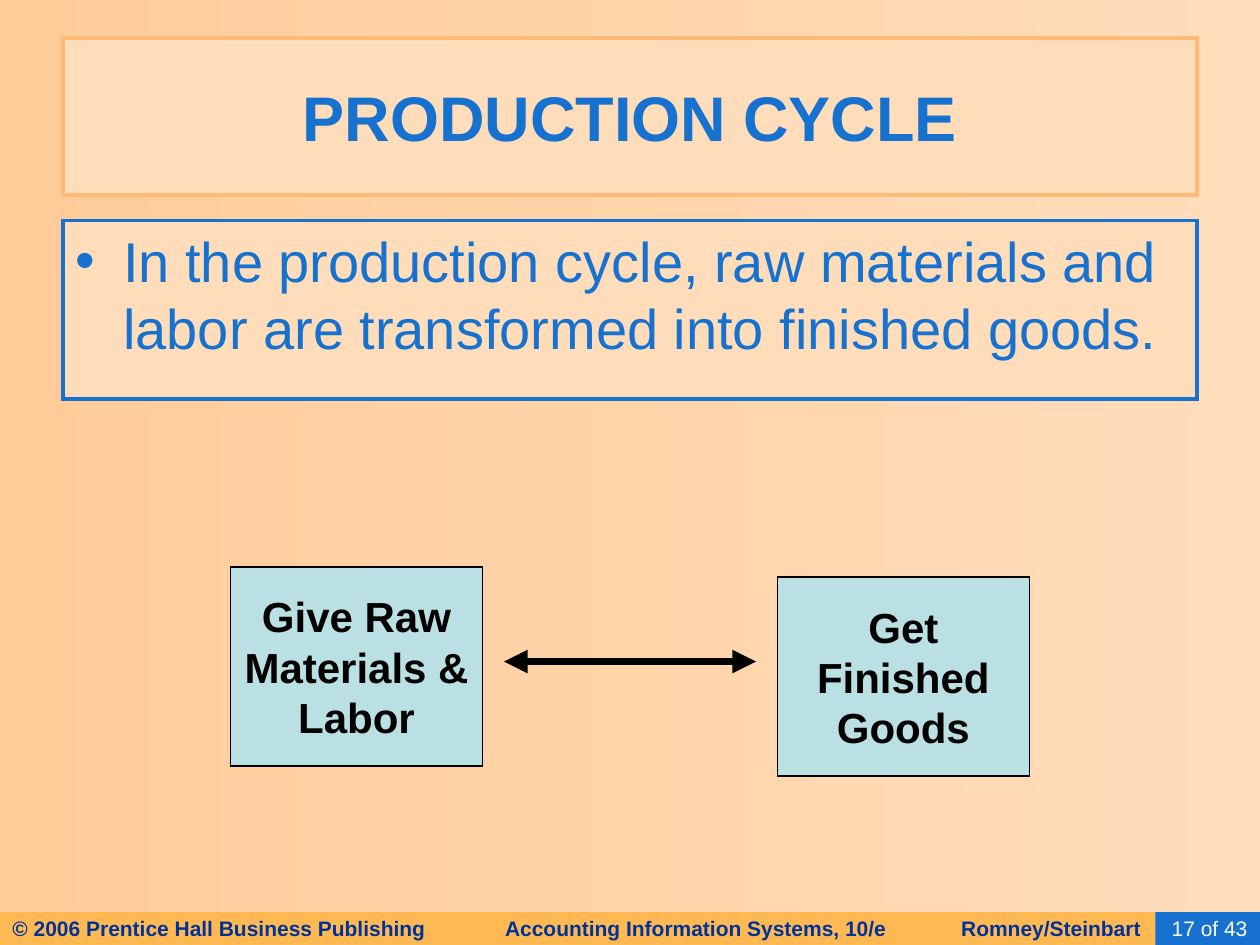
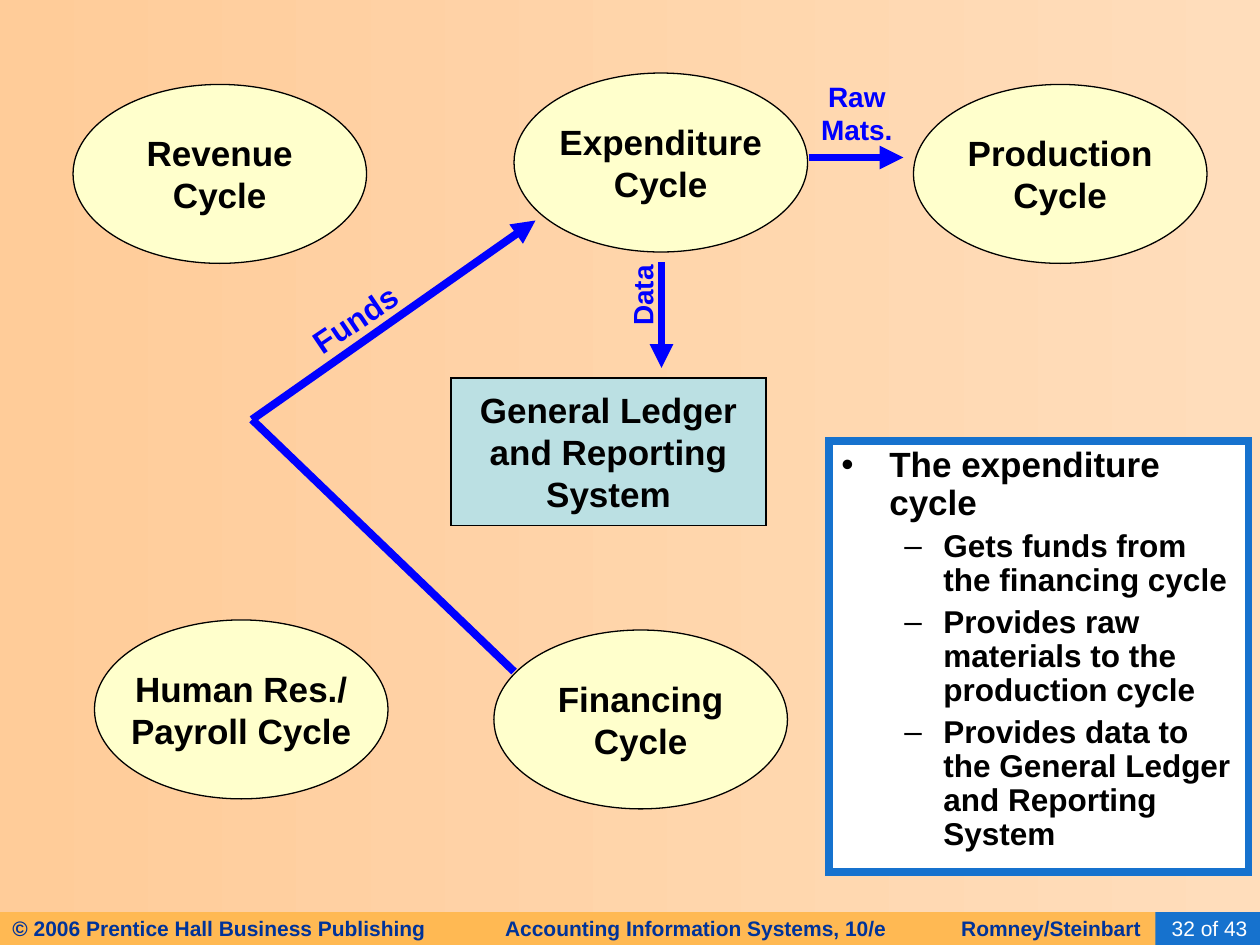
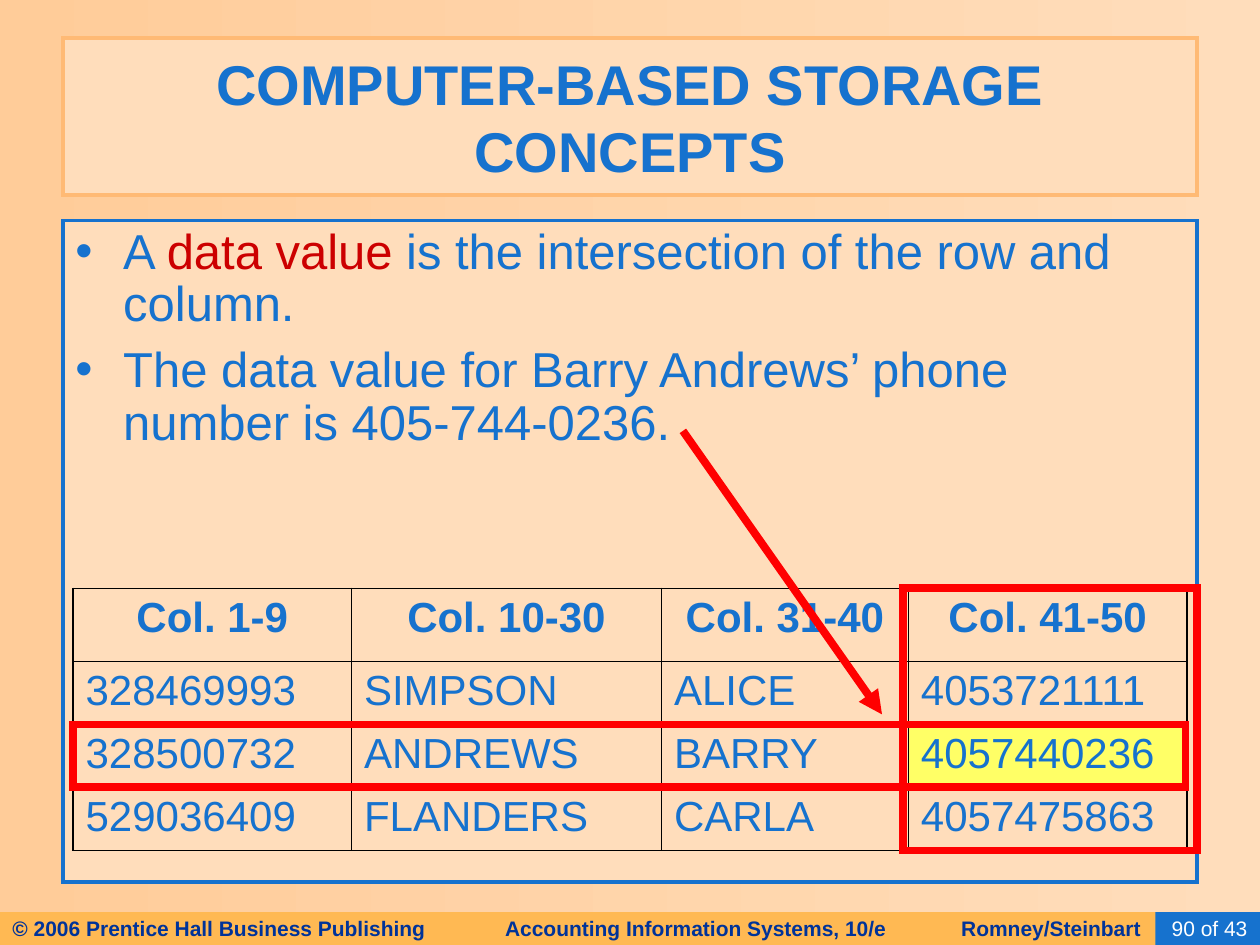
from lxml import etree
from pptx import Presentation
from pptx.dml.color import RGBColor
from pptx.enum.shapes import MSO_CONNECTOR, MSO_SHAPE
from pptx.enum.text import MSO_ANCHOR, MSO_AUTO_SIZE, PP_ALIGN
from pptx.oxml.ns import qn
from pptx.util import Inches, Pt

RECTANGLE, OVAL = MSO_SHAPE.RECTANGLE, MSO_SHAPE.OVAL
STRAIGHT = MSO_CONNECTOR.STRAIGHT
LEFT, CENTER, RIGHT = PP_ALIGN.LEFT, PP_ALIGN.CENTER, PP_ALIGN.RIGHT
TOP, MIDDLE = MSO_ANCHOR.TOP, MSO_ANCHOR.MIDDLE
FIXED_SIZE, GROW = MSO_AUTO_SIZE.NONE, MSO_AUTO_SIZE.SHAPE_TO_FIT_TEXT
TITLE_ONLY, BLANK = 5, 6

FONT = "Arial"
BLACK, WHITE = "000000", "FFFFFF"
BLUE, NAVY, FLOW_BLUE = "1672CE", "003399", "0000FF"
PEACH, DEEP_PEACH = "FFDDBB", "FFCC99"
TITLE_EDGE, FOOTER_ORANGE = "FFBA75", "FFB953"
PALE_TEAL, PALE_YELLOW, YELLOW = "BBE0E3", "FFFFCC", "FFFF66"
RED, DARK_RED = "FF0000", "CC0000"

FOOTER_PARTS = ("© 2006 Prentice Hall Business Publishing",
                "Accounting Information Systems, 10/e", "Romney/Steinbart")
FOOTER_TABS = (3.91, 7.53)
PAGE_TOTAL = 43
TITLE_BOX = (0.5, 0.3, 9, 1.25)


def rgb(color):
    return RGBColor.from_string(color)


def inches(box):
    return [Inches(value) for value in box]


def add_xml(parent, tag, **attributes):
    return etree.SubElement(parent, qn(tag), attributes)


def paint(shape, fill=None, line=None, width=0.75):
    if fill:
        shape.fill.solid()
        shape.fill.fore_color.rgb = rgb(fill)
    else:
        shape.fill.background()
    if line:
        shape.line.color.rgb = rgb(line)
        shape.line.width = Pt(width)
        add_xml(shape.line._get_or_add_ln(), "a:miter", lim="800000")
    else:
        shape.line.fill.background()


def add_run(paragraph, text, size, color, bold=False):
    run = paragraph.add_run()
    run.text = text
    run.font.name = FONT
    run.font.size = Pt(size)
    run.font.bold = bold
    run.font.color.rgb = rgb(color)


def next_paragraph(frame, index):
    return frame.add_paragraph() if index else frame.paragraphs[0]


def write_lines(frame, lines, size, color, bold=True, align=CENTER,
                anchor=MIDDLE, wrap=False):
    frame.word_wrap = wrap
    frame.vertical_anchor = anchor
    for index, line in enumerate(lines):
        paragraph = next_paragraph(frame, index)
        paragraph.alignment = align
        add_run(paragraph, line, size, color, bold)


def add_box(slide, kind, box, fill=None, line=None, width=0.75):
    shape = slide.shapes.add_shape(kind, *inches(box))
    shape.shadow.inherit = False
    paint(shape, fill, line, width)
    return shape


def add_node(slide, kind, box, lines, size=20):
    fill = PALE_YELLOW if kind == OVAL else PALE_TEAL
    node = add_box(slide, kind, box, fill, BLACK)
    write_lines(node.text_frame, lines, size, BLACK)


def add_line(slide, start, end, color, head=False, tail=True):
    connector = slide.shapes.add_connector(STRAIGHT, *inches(start + end))
    connector.line.color.rgb = rgb(color)
    connector.line.width = Pt(4.5)
    outline = connector.line._get_or_add_ln()
    for tag, wanted in (("a:headEnd", head), ("a:tailEnd", tail)):
        if wanted:
            add_xml(outline, tag, type="triangle")
    add_xml(connector._element.spPr, "a:effectLst")


def add_flow_label(slide, box, lines, size=16, rotation=0):
    label = slide.shapes.add_textbox(*inches(box))
    label.rotation = rotation
    label.text_frame.auto_size = GROW
    write_lines(label.text_frame, lines, size, FLOW_BLUE, anchor=TOP)


def add_bullets(frame, items, size, color, mark="•", margin=0.38, hang=0.38,
                bold=False, spacing=None, before=0, start=0):
    """Write items, each a list of (text, colour) runs, from paragraph start on."""
    for index, runs in enumerate(items, start):
        paragraph = next_paragraph(frame, index)
        paragraph.alignment = LEFT
        properties = paragraph._p.get_or_add_pPr()
        properties.set("marL", str(Inches(margin)))
        properties.set("indent", str(-Inches(hang)))
        bullet_color = add_xml(properties, "a:buClr")
        add_xml(bullet_color, "a:srgbClr", val=color)
        add_xml(properties, "a:buFont", typeface=FONT)
        add_xml(properties, "a:buChar", char=mark)
        if spacing:
            paragraph.line_spacing = spacing
        if index:
            paragraph.space_before = Pt(before)
        for text, run_color in runs:
            add_run(paragraph, text, size, run_color, bold)


def add_body(slide, box, fill=PEACH, width=2.25):
    frame = add_box(slide, RECTANGLE, box, fill, BLUE, width).text_frame
    frame.word_wrap = True
    frame.vertical_anchor = TOP
    return frame


def add_footer(slide, page):
    band = add_box(slide, RECTANGLE, (0, 7.24, 9.25, 0.26), FOOTER_ORANGE)
    write_lines(band.text_frame, ["\t".join(FOOTER_PARTS)], 12, NAVY,
                align=LEFT, wrap=True)
    properties = band.text_frame.paragraphs[0]._p.get_or_add_pPr()
    tabs = add_xml(properties, "a:tabLst")
    for position in FOOTER_TABS:
        add_xml(tabs, "a:tab", pos=str(Inches(position)), algn="l")
    counter = add_box(slide, RECTANGLE, (9.17, 7.24, 0.83, 0.26), BLUE)
    write_lines(counter.text_frame, [f"{page} of {PAGE_TOTAL}"], 12, WHITE,
                bold=False, align=RIGHT, wrap=True)


def add_title(slide, text, size):
    title = slide.shapes.title
    title.left, title.top, title.width, title.height = inches(TITLE_BOX)
    paint(title, PEACH, TITLE_EDGE, 2.5)
    title.text_frame.auto_size = FIXED_SIZE
    write_lines(title.text_frame, [text], size, BLUE, wrap=True)


def new_slide(presentation, page, title=None, title_size=36):
    layout = presentation.slide_layouts[TITLE_ONLY if title else BLANK]
    slide = presentation.slides.add_slide(layout)
    background = slide.background.fill
    background.gradient()
    background.gradient_angle = 180
    for stop, color in zip(background.gradient_stops, (PEACH, DEEP_PEACH)):
        stop.color.rgb = rgb(color)
    add_footer(slide, page)
    if title:
        add_title(slide, title, title_size)
    return slide


def set_cell_borders(cell, outer_edges):
    properties = cell._tc.get_or_add_tcPr()
    for edge, is_outer in zip("LRTB", outer_edges):
        width = Pt(1.08 if is_outer else 0.45)
        border = add_xml(properties, f"a:ln{edge}", w=str(width))
        fill = add_xml(border, "a:solidFill")
        add_xml(fill, "a:srgbClr", val=BLACK)


def add_record_table(slide, box, rows, column_widths, row_heights, marked_cell):
    last_row, last_column = len(rows) - 1, len(column_widths) - 1
    table = slide.shapes.add_table(len(rows), len(column_widths),
                                   *inches(box)).table
    table.first_row = table.horz_banding = False
    for column, width in zip(table.columns, column_widths):
        column.width = Inches(width)
    for row, height in zip(table.rows, row_heights):
        row.height = Inches(height)
    for r, values in enumerate(rows):
        for c, value in enumerate(values):
            cell = table.cell(r, c)
            set_cell_borders(cell, (c == 0, c == last_column,
                                    r == 0, r == last_row))
            if (r, c) == marked_cell:
                cell.fill.solid()
                cell.fill.fore_color.rgb = rgb(YELLOW)
            else:
                cell.fill.background()
            paragraph = cell.text_frame.paragraphs[0]
            paragraph.alignment = LEFT if r else CENTER
            add_run(paragraph, value, 24, BLUE, bold=r == 0)


def build_production_cycle(presentation):
    slide = new_slide(presentation, 17, "PRODUCTION CYCLE")
    body = add_body(slide, (0.5, 1.75, 9, 1.42))
    add_bullets(body, [[("In the production cycle, raw materials and labor "
                         "are transformed into finished goods.", BLUE)]], 32, BLUE)
    add_node(slide, RECTANGLE, (1.83, 4.5, 2, 1.58),
             ["Give Raw", "Materials &", "Labor"], 24)
    add_node(slide, RECTANGLE, (6.17, 4.58, 2, 1.58),
             ["Get", "Finished", "Goods"], 24)
    add_line(slide, (6, 5.25), (4, 5.25), BLACK, head=True)


def build_expenditure_flows(presentation):
    slide = new_slide(presentation, 32)
    add_node(slide, RECTANGLE, (3.58, 3, 2.5, 1.17),
             ["General Ledger", "and Reporting", "System"])
    cycles = [
        (0.58, 0.67, ["Revenue", "Cycle"]),
        (4.08, 0.58, ["Expenditure", "Cycle"]),
        (7.25, 0.67, ["Production", "Cycle"]),
        (0.75, 4.92, ["Human Res./", "Payroll Cycle"]),
        (3.92, 5, ["Financing", "Cycle"]),
    ]
    for left, top, lines in cycles:
        add_node(slide, OVAL, (left, top, 2.33, 1.42), lines)

    body = add_body(slide, (6.58, 3.5, 3.33, 3.42), WHITE, 4.5)
    add_bullets(body, [[("The expenditure cycle", BLACK)]], 20, BLACK,
                bold=True, spacing=0.9)
    duties = ["Gets funds from the financing cycle",
              "Provides raw materials to the production cycle",
              "Provides data to the General Ledger and Reporting System"]
    add_bullets(body, [[(duty, BLACK)] for duty in duties], 18, BLACK, "–",
                0.81, 0.31, bold=True, spacing=0.9, before=4.5, start=1)

    add_line(slide, (4.08, 5.33), (2, 3.33), FLOW_BLUE, tail=False)
    add_line(slide, (2, 3.33), (4.25, 1.75), FLOW_BLUE)
    add_flow_label(slide, (2.34, 2.33, 0.95, 0.4), ["Funds"], 18, 326)
    add_line(slide, (6.42, 1.25), (7.17, 1.25), FLOW_BLUE)
    add_flow_label(slide, (6.39, 0.58, 0.82, 0.64), ["Raw", "Mats."])
    add_line(slide, (5.25, 2.08), (5.25, 2.92), FLOW_BLUE)
    add_flow_label(slide, (4.76, 2.16, 0.68, 0.37), ["Data"], rotation=270)


def build_storage_concepts(presentation):
    slide = new_slide(presentation, 90, "COMPUTER-BASED STORAGE CONCEPTS", 32)
    body = add_body(slide, (0.5, 1.75, 9, 5.25))
    add_bullets(body, [
        [("A ", BLUE), ("data value", DARK_RED),
         (" is the intersection of the row and column.", BLUE)],
        [("The data value for Barry Andrews’ phone number is 405-744-0236.",
          BLUE)],
    ], 28, BLUE, spacing=0.9, before=7)
    records = [
        ("Col. 1-9", "Col. 10-30", "Col. 31-40", "Col. 41-50"),
        ("328469993", "SIMPSON", "ALICE", "4053721111"),
        ("328500732", "ANDREWS", "BARRY", "4057440236"),
        ("529036409", "FLANDERS", "CARLA", "4057475863"),
    ]
    add_record_table(slide, (0.58, 4.67, 8.83, 2.08), records,
                     (2.21, 2.46, 1.96, 2.21), (0.58, 0.5, 0.5, 0.5), (2, 3))
    row_frame, column_frame = (0.58, 5.75, 8.83, 0.5), (7.17, 4.67, 2.33, 2.08)
    add_box(slide, RECTANGLE, row_frame, line=RED, width=4.5)
    add_line(slide, (5.42, 3.42), (7, 5.67), RED)
    add_box(slide, RECTANGLE, column_frame, line=RED, width=4.5)


def main():
    presentation = Presentation()
    presentation.slide_width = Inches(10)
    presentation.slide_height = Inches(7.5)
    build_production_cycle(presentation)
    build_expenditure_flows(presentation)
    build_storage_concepts(presentation)
    presentation.save("out.pptx")


if __name__ == "__main__":
    main()
